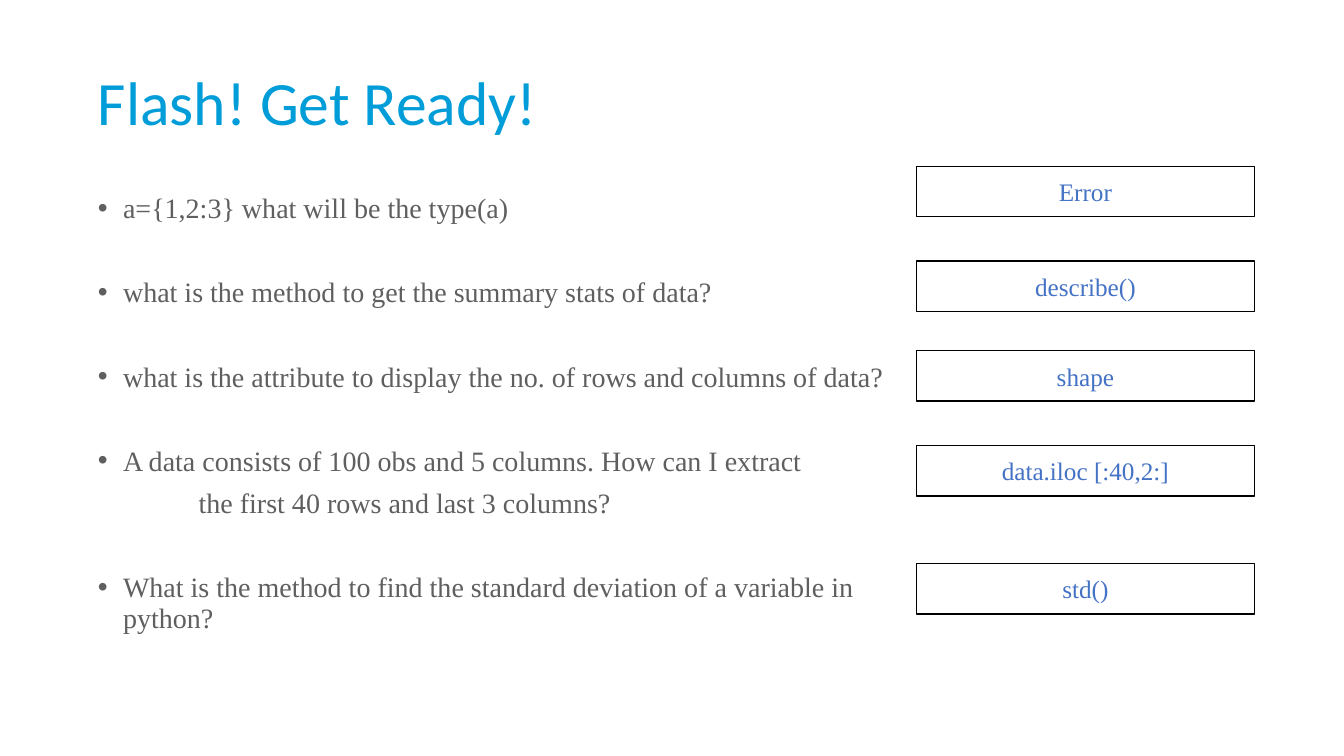
from dataclasses import dataclass

import pptx
import pptx.dml.color
import pptx.enum.shapes
import pptx.enum.text
import pptx.oxml
import pptx.oxml.ns
import pptx.util

Inches = pptx.util.Inches
Align = pptx.enum.text.PP_ALIGN
Anchor = pptx.enum.text.MSO_ANCHOR


@dataclass(frozen=True)
class Theme:
    heading_font: str = "Calibri"
    text_font: str = "Times New Roman"
    title_color: str = "009DD9"
    question_color: str = "5F5F5F"
    answer_color: str = "4472C4"
    border_color: str = "000000"
    box_color: str = "FFFFFF"
    title_size: float = 44
    question_size: float = 20
    answer_size: float = 18
    question_gap: float = 38.5
    continuation_gap: float = 8.9


@dataclass(frozen=True)
class Question:
    text: str
    answer: str
    answer_top: float
    continuation: str = ""


THEME = Theme()
QUESTIONS = [
    Question("a={1,2:3} what will be the type(a)", "Error", 1.65),
    Question("what is the method to get the summary stats of data?", "describe()", 2.59),
    Question("what is the attribute to display the no. of rows and columns of data?", "shape", 3.48),
    Question(
        "A data consists of 100 obs and 5 columns. How can I extract",
        "data.iloc [:40,2:]",
        4.42,
        "the first 40 rows and last 3 columns?",
    ),
    Question(
        "What is the method to find the standard deviation of a variable in python?",
        "std()",
        5.59,
    ),
]


def rgb(color: str) -> pptx.dml.color.RGBColor:
    return pptx.dml.color.RGBColor.from_string(color)


def write_text(paragraph, text: str, *, font: str, size: float, color: str,
               alignment=Align.LEFT, line_spacing: float = 1.0, space_before: float = 0) -> None:
    paragraph.alignment = alignment
    paragraph.line_spacing = line_spacing
    paragraph.space_before = pptx.util.Pt(space_before)
    run = paragraph.add_run()
    run.text = text
    run.font.name = font
    run.font.size = pptx.util.Pt(size)
    run.font.color.rgb = rgb(color)


def place(shape, left: float, top: float, width: float, height: float) -> None:
    shape.left, shape.top = Inches(left), Inches(top)
    shape.width, shape.height = Inches(width), Inches(height)


def set_bullet(paragraph, *, left: float, hanging: float, character: str = "") -> None:
    properties = paragraph._p.get_or_add_pPr()
    properties.set("marL", str(Inches(left)))
    properties.set("indent", str(-Inches(hanging)))
    tag = "a:buChar" if character else "a:buNone"
    bullet = pptx.oxml.parse_xml(f"<{tag} {pptx.oxml.ns.nsdecls('a')}/>")
    if character:
        bullet.set("char", character)
    properties.append(bullet)


def add_title(slide, text: str) -> None:
    title = slide.shapes.title
    place(title, 0.87, 0.74, 10.55, 0.62)
    frame = title.text_frame
    frame.auto_size = pptx.enum.text.MSO_AUTO_SIZE.NONE
    frame.vertical_anchor = Anchor.MIDDLE
    write_text(frame.paragraphs[0], text, font=THEME.heading_font, size=THEME.title_size,
               color=THEME.title_color, line_spacing=0.9)


def add_questions(slide, questions: list[Question]) -> None:
    body = slide.placeholders[1]
    place(body, 0.87, 1.88, 8.06, 4.45)
    frame = body.text_frame
    frame.auto_size = pptx.enum.text.MSO_AUTO_SIZE.NONE
    frame.vertical_anchor = Anchor.TOP

    def add_line(text: str, gap: float, left: float, hanging: float, character: str) -> None:
        first = not frame.paragraphs[0].runs
        paragraph = frame.paragraphs[0] if first else frame.add_paragraph()
        write_text(paragraph, text, font=THEME.text_font, size=THEME.question_size,
                   color=THEME.question_color, line_spacing=0.9,
                   space_before=0 if first else gap)
        set_bullet(paragraph, left=left, hanging=hanging, character=character)

    for question in questions:
        add_line(question.text, THEME.question_gap, 0.25, 0.25, "•")
        if question.continuation:
            add_line(question.continuation, THEME.continuation_gap, 1, 0, "")


def add_answer(slide, question: Question) -> None:
    box = slide.shapes.add_shape(
        pptx.enum.shapes.MSO_SHAPE.FLOWCHART_PROCESS,
        Inches(9.09), Inches(question.answer_top), Inches(3.35), Inches(0.5))
    box.shadow.inherit = False
    box.fill.solid()
    box.fill.fore_color.rgb = rgb(THEME.box_color)
    box.line.color.rgb = rgb(THEME.border_color)
    box.line.width = pptx.util.Pt(1)
    box.text_frame.vertical_anchor = Anchor.MIDDLE
    write_text(box.text_frame.paragraphs[0], question.answer, font=THEME.text_font,
               size=THEME.answer_size, color=THEME.answer_color, alignment=Align.CENTER)


def main() -> None:
    presentation = pptx.Presentation()
    presentation.slide_width = Inches(13.33)
    presentation.slide_height = Inches(7.5)
    slide = presentation.slides.add_slide(presentation.slide_layouts[1])
    add_title(slide, "Flash! Get Ready!")
    add_questions(slide, QUESTIONS)
    for question in QUESTIONS:
        add_answer(slide, question)
    presentation.save("out.pptx")


if __name__ == "__main__":
    main()
